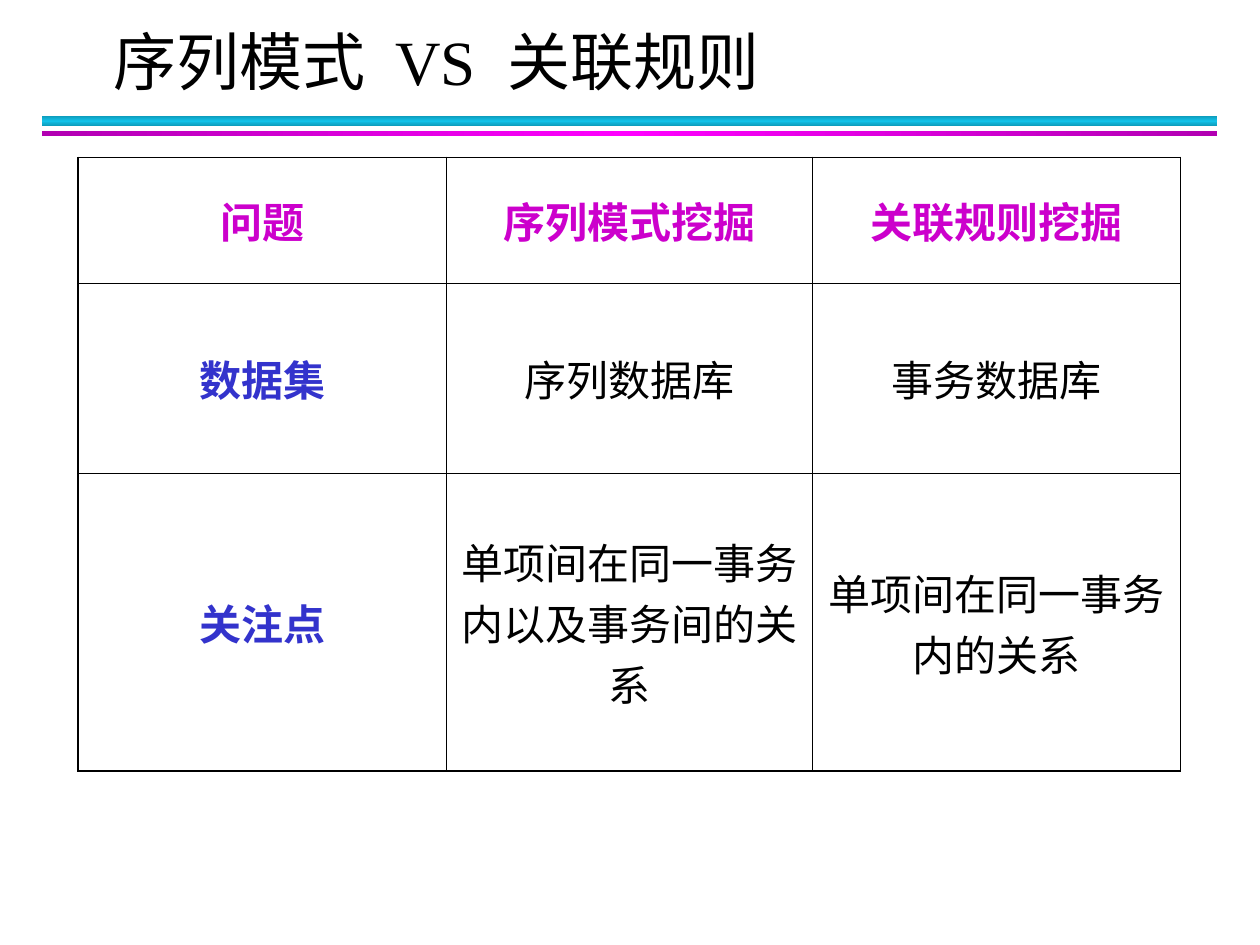
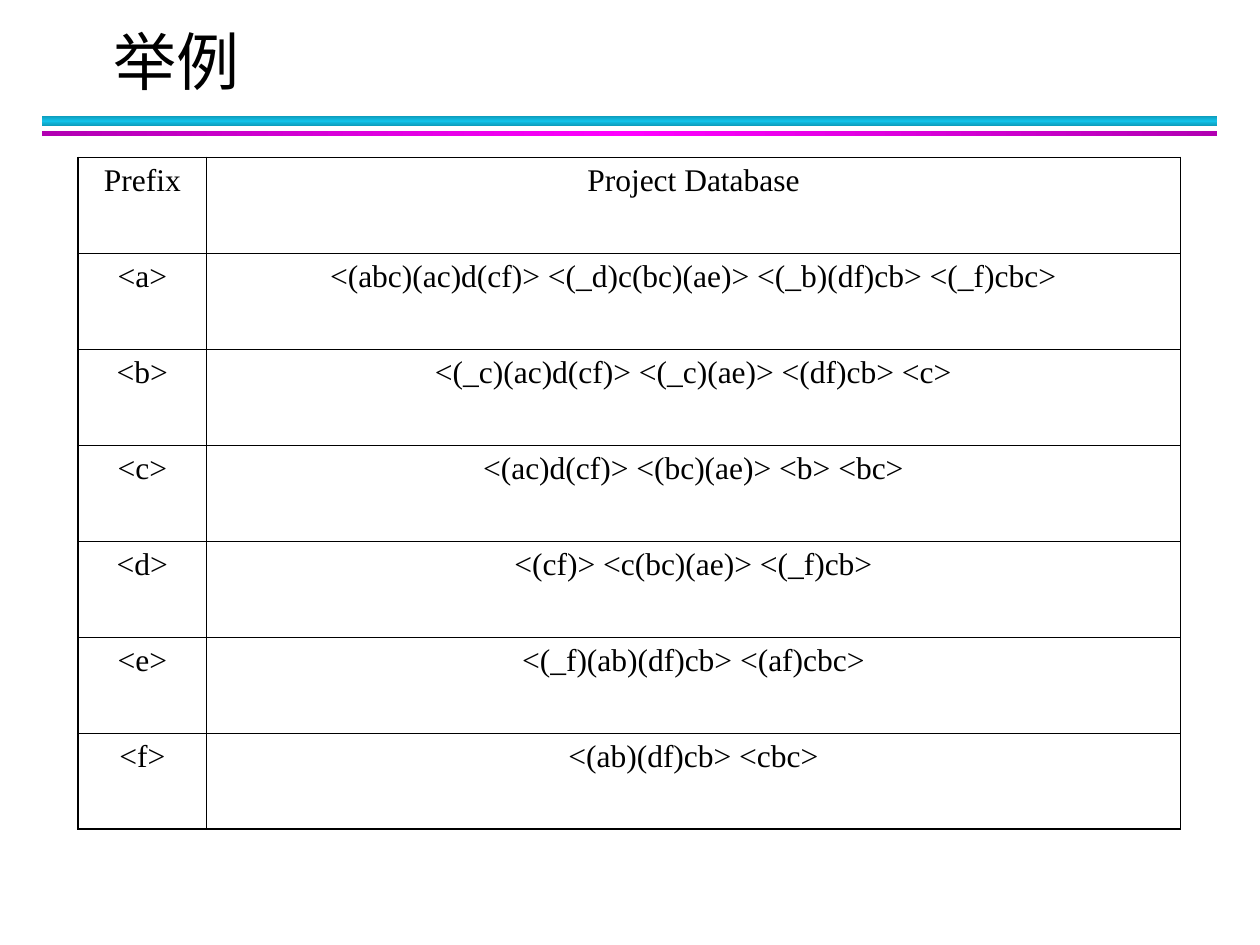
from copy import deepcopy
from dataclasses import dataclass

from lxml.etree import SubElement
from pptx import Presentation
from pptx.dml.color import RGBColor
from pptx.enum.text import MSO_ANCHOR, MSO_AUTO_SIZE, PP_ALIGN
from pptx.enum.shapes import MSO_SHAPE
from pptx.oxml.ns import qn
from pptx.util import Inches, Pt


@dataclass(frozen=True)
class Theme:
    """Colours, fonts and sizes shared by the slides."""
    ink: str = "000000"
    header: str = "CC00CC"
    row_label: str = "3333CC"
    cyan_edge: str = "0E9BBA"
    cyan_core: str = "12C2E9"
    magenta_edge: str = "B200B2"
    magenta_core: str = "FF00FF"
    latin: str = "Times New Roman"
    chinese: str = "Noto Sans CJK SC"
    title_size: float = 36
    comparison_size: float = 24
    example_size: float = 18
    outer_line: float = 1.08
    inner_line: float = 0.45


THEME = Theme()
TITLE_BOX = (0.8, 0.18, 9, 0.6)
BANDS_BOX = (0.33, 0.92, 9.33, 0.16)
TABLE_LEFT, TABLE_TOP, TABLE_WIDTH = 0.62, 1.25, 8.75

COMPARISON = [
    ("问题", "序列模式挖掘", "关联规则挖掘"),
    ("数据集", "序列数据库", "事务数据库"),
    ("关注点", "单项间在同一事务内以及事务间的关系", "单项间在同一事务内的关系"),
]
PROJECTIONS = [
    ("Prefix", "Project Database"),
    ("<a>", "<(abc)(ac)d(cf)> <(_d)c(bc)(ae)> <(_b)(df)cb> <(_f)cbc>"),
    ("<b>", "<(_c)(ac)d(cf)> <(_c)(ae)> <(df)cb> <c>"),
    ("<c>", "<(ac)d(cf)> <(bc)(ae)> <b> <bc>"),
    ("<d>", "<(cf)> <c(bc)(ae)> <(_f)cb>"),
    ("<e>", "<(_f)(ab)(df)cb> <(af)cbc>"),
    ("<f>", "<(ab)(df)cb> <cbc>"),
]


def style_run(run, size, color=THEME.ink, bold=False, latin=THEME.latin):
    """Give a run its Latin and Chinese fonts, size, colour and weight."""
    run.font.name = latin
    run.font.size = Pt(size)
    run.font.bold = bold
    run.font.color.rgb = RGBColor.from_string(color)
    SubElement(run.font._element, qn("a:ea"), typeface=THEME.chinese)


def place_title(slide, box, words, latin):
    """Move the title placeholder and set its words with wide gaps."""
    title = slide.shapes.title
    title.left, title.top, title.width, title.height = map(Inches, box)
    frame = title.text_frame
    frame.word_wrap = True
    frame.auto_size = MSO_AUTO_SIZE.NONE
    frame.vertical_anchor = MSO_ANCHOR.MIDDLE
    paragraph = frame.paragraphs[0]
    paragraph.alignment = PP_ALIGN.LEFT
    for index, word in enumerate(words):
        if index:
            gap = paragraph.add_run()
            gap.text = " "
            style_run(gap, THEME.title_size, latin=latin)
            gap.font._element.set("spc", "900")
        run = paragraph.add_run()
        run.text = word
        style_run(run, THEME.title_size, latin=latin)


def add_band(slide, box, edge, core, angle):
    """Draw a bar whose colour runs from edge to core and back."""
    band = slide.shapes.add_shape(MSO_SHAPE.RECTANGLE, *map(Inches, box))
    band.shadow.inherit = False
    band.line.fill.background()
    band.fill.gradient()
    band.fill.gradient_angle = angle
    first, middle = band.fill.gradient_stops
    first.position, middle.position = 0, 0.5
    first.color.rgb = RGBColor.from_string(edge)
    middle.color.rgb = RGBColor.from_string(core)
    stops = next(band._element.iter(qn("a:gsLst")))
    last = deepcopy(stops[0])
    last.set("pos", "100000")
    stops.append(last)


def add_bands(slide, box):
    """Draw the cyan and magenta bars under the title."""
    left, top, width, height = box
    add_band(slide, (left, top, width, height / 2),
             THEME.cyan_edge, THEME.cyan_core, 90)
    add_band(slide, (left, top + height * 0.75, width, height / 4),
             THEME.magenta_edge, THEME.magenta_core, 0)


def set_borders(cell, outer_sides):
    """Rule the cell, thicker on the sides at the edge of the table."""
    properties = cell._tc.get_or_add_tcPr()
    for side, is_outer in outer_sides.items():
        weight = THEME.outer_line if is_outer else THEME.inner_line
        rule = SubElement(properties, qn(f"a:ln{side}"), w=str(Pt(weight)))
        fill = SubElement(rule, qn("a:solidFill"))
        SubElement(fill, qn("a:srgbClr"), val=THEME.ink)


def add_ruled_table(slide, rows, widths, heights, size, anchor, emphasis):
    """Add a ruled table, with emphasis giving each cell's colour and weight."""
    table = slide.shapes.add_table(
        len(rows), len(widths), Inches(TABLE_LEFT), Inches(TABLE_TOP),
        Inches(TABLE_WIDTH), Inches(sum(heights))).table
    table.first_row = table.horz_banding = False
    for column, width in zip(table.columns, widths):
        column.width = Inches(width)
    for row, height in zip(table.rows, heights):
        row.height = Inches(height)
    for r, texts in enumerate(rows):
        for c, text in enumerate(texts):
            cell = table.cell(r, c)
            cell.text_frame.text = text
            cell.vertical_anchor = anchor
            set_borders(cell, {"L": c == 0, "R": c == len(widths) - 1,
                               "T": r == 0, "B": r == len(rows) - 1})
            cell.fill.background()
            paragraph = cell.text_frame.paragraphs[0]
            paragraph.alignment = PP_ALIGN.CENTER
            color, bold = emphasis(r, c)
            style_run(paragraph.runs[0], size, color, bold)


def comparison_emphasis(row, column):
    """Colour the header row and the row labels."""
    if row == 0:
        return THEME.header, True
    if column == 0:
        return THEME.row_label, True
    return THEME.ink, False


def plain_emphasis(row, column):
    """Keep every cell in plain ink."""
    return THEME.ink, False


def add_titled_slide(deck, words, latin=THEME.latin):
    """Add a slide with the shared title and bands."""
    slide = deck.slides.add_slide(deck.slide_layouts[5])
    add_bands(slide, BANDS_BOX)
    place_title(slide, TITLE_BOX, words, latin)
    return slide


def build_comparison(deck):
    """Compare sequential patterns with association rules."""
    slide = add_titled_slide(deck, ("序列模式", "VS", "关联规则"))
    add_ruled_table(slide, COMPARISON, (2.92, 2.91, 2.92), (1, 1.51, 2.36),
                    THEME.comparison_size, MSO_ANCHOR.MIDDLE,
                    comparison_emphasis)


def build_example(deck):
    """List the projected database of each prefix."""
    slide = add_titled_slide(deck, ("举例",), THEME.chinese)
    prefix_width = 1.02
    add_ruled_table(slide, PROJECTIONS,
                    (prefix_width, TABLE_WIDTH - prefix_width),
                    [5.33 / len(PROJECTIONS)] * len(PROJECTIONS),
                    THEME.example_size, MSO_ANCHOR.TOP, plain_emphasis)


def main():
    """Build and save the deck."""
    deck = Presentation()
    deck.slide_width, deck.slide_height = Inches(10), Inches(7.5)
    build_comparison(deck)
    build_example(deck)
    deck.save("out.pptx")


if __name__ == "__main__":
    main()
